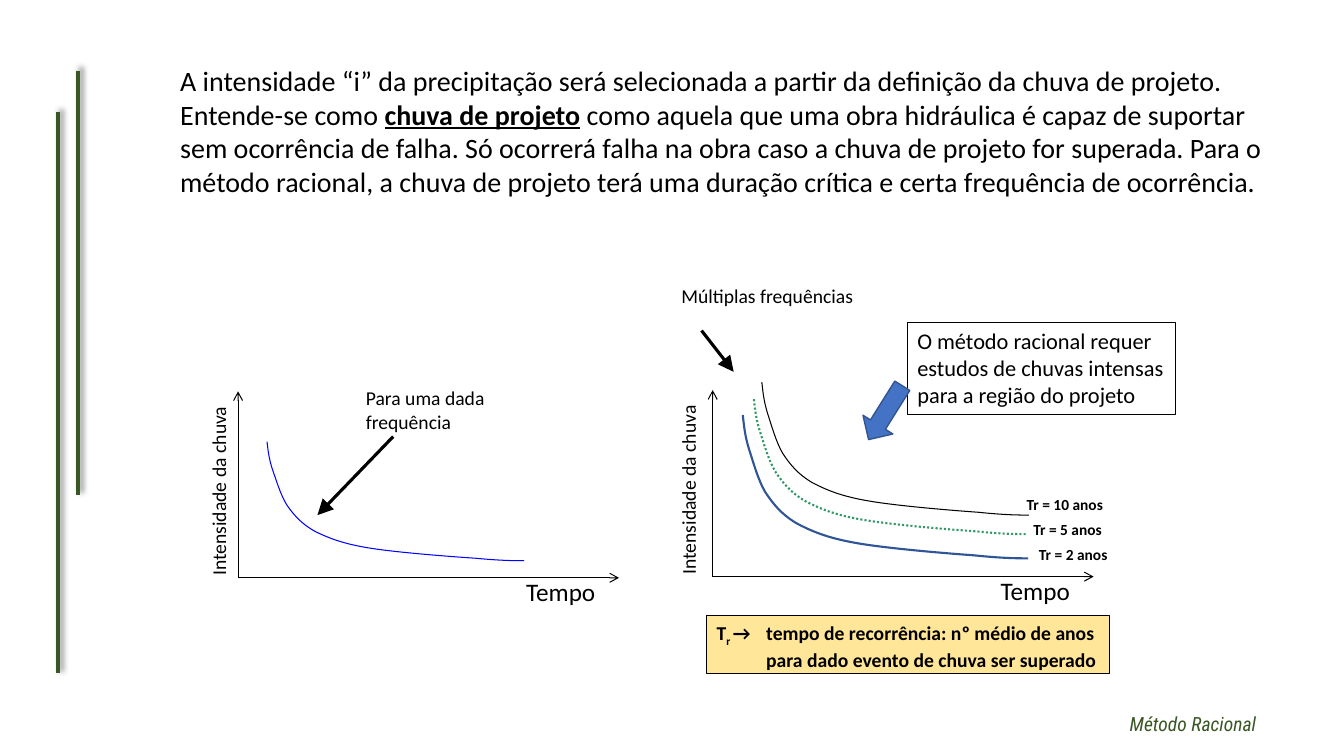
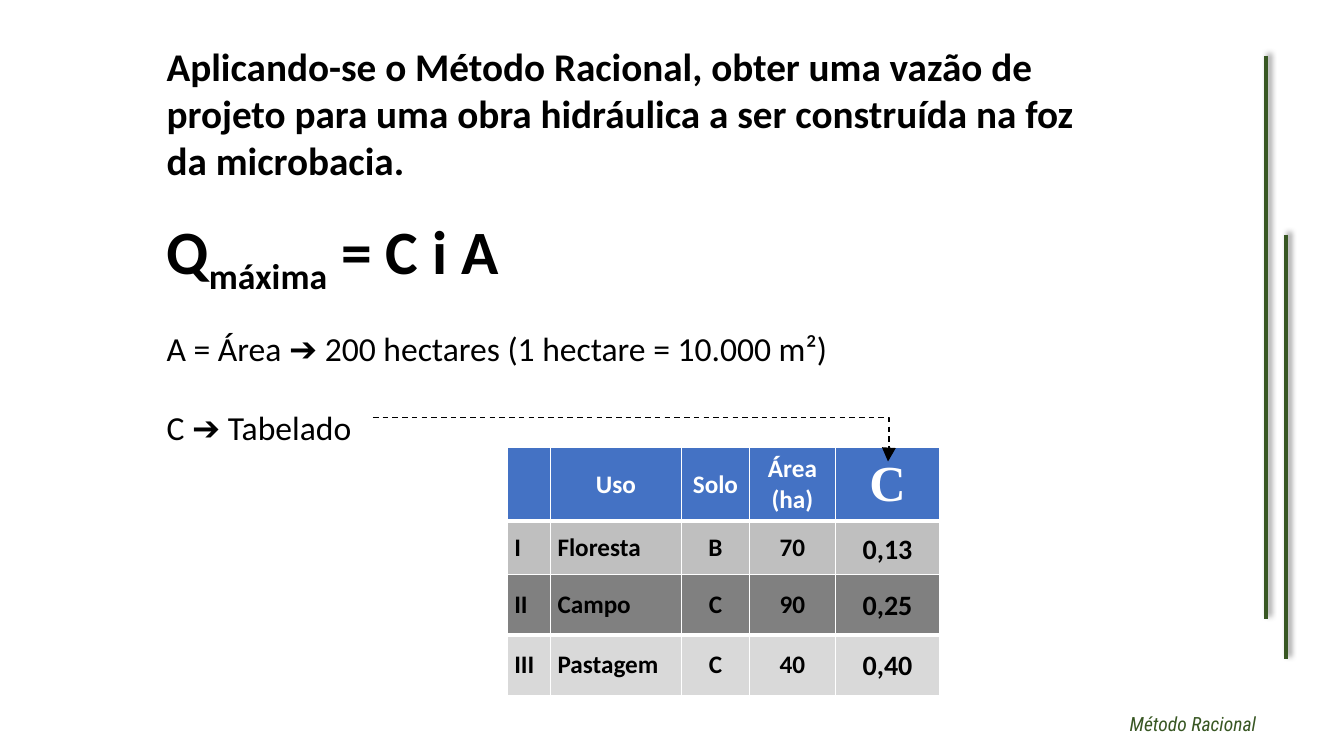
import lxml.etree
import pptx
import pptx.dml.color
import pptx.enum.dml
import pptx.enum.shapes
import pptx.enum.text
import pptx.oxml.ns
import pptx.util

Cm, Pt = pptx.util.Cm, pptx.util.Pt
rgb = pptx.dml.color.RGBColor.from_string
qn = pptx.oxml.ns.qn
add_element = lxml.etree.SubElement
align = pptx.enum.text.PP_ALIGN
dash_style = pptx.enum.dml.MSO_LINE
shape_type = pptx.enum.shapes.MSO_SHAPE


class Theme:
    font, footer_font, symbol_font = "Calibri", "Roboto Condensed", "Times New Roman"
    black, white, green = rgb("000000"), rgb("FFFFFF"), rgb("385723")
    blue, arrow_edge, note = rgb("4472C4"), rgb("325491"), rgb("FFE699")
    curve_single, curve_2, curve_5 = rgb("0000FF"), rgb("2F5597"), rgb("339966")
    rows = [blue, rgb("BFBFBF"), rgb("808080"), rgb("D9D9D9")]
    tiny, small, callout, medium, body = 11, 14, 16, 18, 20
    large, title, symbol, formula = 24, 28, 36, 44
    thin, outline, curve, arrow, bar = 0.75, 1, 1.5, 2.25, 3
    open_tip = {"type": "arrow"}
    solid_tip = {"type": "triangle", "w": "lg", "len": "lg"}


def write(paragraph, text, size, bold=False, color=Theme.black, font=Theme.font,
          italic=False, marked="subscript", alignment=align.LEFT):
    """Fill a paragraph; the pieces between bars are subscript or key words."""
    first, *others = text.split("|")
    paragraph.text = first
    for piece in others:
        paragraph.add_run().text = piece
    paragraph.alignment = alignment
    for index, run in enumerate(paragraph.runs):
        run.font.name, run.font.size = font, Pt(size)
        run.font.bold, run.font.italic = bold, italic
        run.font.color.rgb = color
        if index % 2 and marked == "subscript":
            run._r.get_or_add_rPr().set("baseline", "-25000")
        elif index % 2:
            run.font.bold = run.font.underline = True


def add_line(slide, points, color, width, tip=None, shadow=False):
    """Draw a straight connector, optionally with an arrowhead or a soft shadow."""
    connector = slide.shapes.add_connector(
        pptx.enum.shapes.MSO_CONNECTOR.STRAIGHT, *[Cm(value) for value in points])
    connector.line.color.rgb = color
    connector.line.width = Pt(width)
    if tip:
        add_element(connector.line._get_or_add_ln(), qn("a:tailEnd"), tip)
    effects = add_element(connector._element.spPr, qn("a:effectLst"))
    if shadow:
        outer = add_element(effects, qn("a:outerShdw"), blurRad=str(Pt(4)), dist=str(Pt(3)),
                            dir="18900000", algn="bl", rotWithShape="0")
        tint = add_element(outer, qn("a:srgbClr"), val=str(Theme.black))
        add_element(tint, qn("a:alpha"), val="40000")


presentation = pptx.Presentation()
presentation.slide_width, presentation.slide_height = Cm(33.87), Cm(19.05)

# Both slides: pair of side bars and footer
side_bars = [
    [(1.46, 16.97, 1.46, 2.82), (1.96, 12.47, 1.96, 1.78)],
    [(31.9, 1.42, 31.9, 15.6), (32.41, 5.92, 32.41, 16.61)],
]
for bars in side_bars:
    slide = presentation.slides.add_slide(presentation.slide_layouts[6])
    for bar in bars:
        add_line(slide, bar, Theme.green, Theme.bar, shadow=True)
    footer = slide.shapes.add_textbox(Cm(28.22), Cm(17.81), Cm(4.22), Cm(0.86))
    footer.text_frame.word_wrap = True
    write(footer.text_frame.paragraphs[0], "Método Racional", Theme.small,
          color=Theme.green, font=Theme.footer_font, italic=True)
rain_slide, exercise_slide = presentation.slides

# Slide 1: introduction
introduction = rain_slide.shapes.add_textbox(Cm(4.29), Cm(1.48), Cm(27.94), Cm(3.68))
introduction.text_frame.word_wrap = True
write(introduction.text_frame.paragraphs[0],
      "A intensidade “i” da precipitação será selecionada a partir da definição da chuva de "
      "projeto. Entende-se como |chuva de projeto| como aquela que uma obra hidráulica é capaz "
      "de suportar sem ocorrência de falha. Só ocorrerá falha na obra caso a chuva de projeto "
      "for superada. Para o método racional, a chuva de projeto terá uma duração crítica e "
      "certa frequência de ocorrência.", Theme.body, marked="key")

# Slide 1: axes of the two graphs
labels = []
for origin_x, origin_y, label_left in [(6, 14.56, 3.1), (17.96, 14.53, 14.94)]:
    for end_x, end_y in [(origin_x, origin_y - 4.7), (origin_x + 9.6, origin_y)]:
        add_line(rain_slide, (origin_x, origin_y, end_x, end_y),
                 Theme.black, Theme.thin, tip=Theme.open_tip)
    labels += [
        ("Intensidade da chuva", label_left, origin_y - 3.1, 5.28, 1.32, Theme.small, False, 270),
        ("Tempo", origin_x + 7.01, origin_y - 0.15, 2.46, 1.07, Theme.medium, False, 0),
    ]

# Slide 1: every curve is one Bézier profile, in percent of its frame
profile = [
    (0, 0), (0.4, 7), (0.7, 14), (2.1, 23.2), (3.5, 31.7), (5.3, 45), (7.8, 53.5),
    (10.6, 62), (13.4, 69), (18.7, 75.4), (24, 81), (29.7, 85.9), (40, 89.4),
    (50.2, 93), (71, 96.5), (81, 97.9), (91.2, 100), (96.5, 100), (100, 100),
]
curves = [
    (6.73, 11.13, 6.48, 3, Theme.curve_single, Theme.thin, None),
    (19, 10.06, 6.88, 3.4, Theme.curve_5, Theme.curve, dash_style.ROUND_DOT),
    (19.2, 9.63, 6.73, 3.35, Theme.black, Theme.thin, None),
    (18.72, 10.46, 7.19, 3.61, Theme.curve_2, Theme.curve, None),
]
for left, top, width, height, color, weight, dash in curves:
    builder = rain_slide.shapes.build_freeform(Cm(left), Cm(top))
    builder.add_line_segments(
        [(Cm(left + x / 100 * width), Cm(top + y / 100 * height)) for x, y in profile[1:]],
        close=False)
    curve = builder.convert_to_shape()
    # Join each three straight segments into one Bézier segment
    segments = list(curve._element.iter(qn("a:lnTo")))
    outline = segments[0].getparent()
    for start in range(0, len(segments), 3):
        bezier = add_element(outline, qn("a:cubicBezTo"))
        for segment in segments[start:start + 3]:
            bezier.append(segment[0])
            outline.remove(segment)
    curve.shadow.inherit = False
    curve.fill.background()
    curve.line.color.rgb, curve.line.width = color, Pt(weight)
    if dash:
        curve.line.dash_style = dash

# Slide 1: labels
labels += [
    ("Tr = 10 anos", 25.62, 12.34, 2.79, 0.64, Theme.tiny, True, 0),
    ("Tr = 5 anos", 25.79, 12.98, 2.79, 0.64, Theme.tiny, True, 0),
    ("Tr = 2 anos", 25.93, 13.61, 2.79, 0.64, Theme.tiny, True, 0),
    ("Para uma dada frequência", 8.97, 9.6, 4.85, 1.45, Theme.small, False, 0),
    ("Múltiplas frequências", 16.92, 7.03, 4.85, 1.45, Theme.small, False, 0),
]
for text, left, top, width, height, size, bold, rotation in labels:
    label = rain_slide.shapes.add_textbox(Cm(left), Cm(top), Cm(width), Cm(height))
    label.rotation = rotation
    label.text_frame.word_wrap = True
    write(label.text_frame.paragraphs[0], text, size, bold)

for points in [(9.91, 11, 8, 12.98), (17.68, 8.33, 18.49, 9.37)]:
    add_line(rain_slide, points, Theme.black, Theme.arrow, tip=Theme.solid_tip)

# Slide 1: framed notes
notes = [
    ("O método racional requer estudos de chuvas intensas para a região do projeto",
     (22.87, 8.13, 6.76, 2.31), Theme.callout, False, None, 0),
    ("T|r |→ \ttempo de recorrência: nº médio de anos para dado evento de chuva ser superado",
     (17.81, 15.52, 10.16, 1.45), Theme.small, True, Theme.note, 1.25),
]
for text, frame, size, bold, fill, indent in notes:
    note = rain_slide.shapes.add_shape(shape_type.RECTANGLE, *[Cm(value) for value in frame])
    note.shadow.inherit = False
    note.line.color.rgb, note.line.width = Theme.black, Pt(Theme.thin)
    if fill:
        note.fill.solid()
        note.fill.fore_color.rgb = fill
    else:
        note.fill.background()
    note.text_frame.word_wrap = True
    note.text_frame.vertical_anchor = pptx.enum.text.MSO_ANCHOR.TOP
    paragraph = note.text_frame.paragraphs[0]
    write(paragraph, text, size, bold)
    if indent:
        properties = paragraph._p.get_or_add_pPr()
        properties.set("marL", str(Cm(indent)))
        properties.set("indent", str(-Cm(indent)))

block_arrow = rain_slide.shapes.add_shape(
    shape_type.DOWN_ARROW, Cm(21.87), Cm(9.6), Cm(0.89), Cm(1.6))
block_arrow.rotation = 32.1
block_arrow.shadow.inherit = False
block_arrow.fill.solid()
block_arrow.fill.fore_color.rgb = Theme.blue
block_arrow.line.color.rgb = Theme.arrow_edge
block_arrow.line.width = Pt(Theme.outline)

# Slide 2: statement, formula and data
statement = exercise_slide.shapes.add_textbox(Cm(3.95), Cm(0.94), Cm(23.42), Cm(10.34))
statement.text_frame.word_wrap = True
statement_lines = [
    ("Aplicando-se o Método Racional, obter uma vazão de projeto para uma obra hidráulica "
     "a ser construída na foz da microbacia.", Theme.title, True, 0),
    ("Q|máxima| = C i A", Theme.formula, True, 21),
    ("A = Área ➔ 200 hectares (1 hectare = 10.000 m²)", Theme.large, False, 22),
    ("C ➔ Tabelado", Theme.large, False, 28),
]
for index, (text, size, bold, gap) in enumerate(statement_lines):
    text_frame = statement.text_frame
    paragraph = text_frame.add_paragraph() if index else text_frame.paragraphs[0]
    write(paragraph, text, size, bold)
    paragraph.space_before = Pt(gap)

# Slide 2: table of land uses
table_rows = [
    ("", "Uso", "Solo", "Área\n(ha)", "C"),
    ("I", "Floresta", "B", "70", ""),
    ("II", "Campo", "C", "90", ""),
    ("III", "Pastagem", "C", "40", ""),
]
column_widths = [1.09, 3.3, 1.72, 2.16, 2.64]
row_heights = [1.85, 1.35, 1.52, 1.52]
table = exercise_slide.shapes.add_table(
    len(table_rows), len(column_widths), Cm(12.78), Cm(11.28),
    Cm(sum(column_widths)), Cm(sum(row_heights))).table
table.horz_banding = False
for column, width in zip(table.columns, column_widths):
    column.width = Cm(width)
last_row, last_column = len(table_rows) - 1, len(column_widths) - 1
for row_index, row in enumerate(table_rows):
    table.rows[row_index].height = Cm(row_heights[row_index])
    header = row_index == 0
    for column_index, text in enumerate(row):
        cell = table.cell(row_index, column_index)
        cell.margin_left = cell.margin_right = Cm(0.18)
        cell.margin_top = cell.margin_bottom = 0
        cell.vertical_anchor = pptx.enum.text.MSO_ANCHOR.MIDDLE
        cell.fill.solid()
        cell.fill.fore_color.rgb = Theme.rows[row_index]
        symbol = header and column_index == last_column
        cell.text_frame.text = text
        for paragraph in cell.text_frame.paragraphs:
            write(paragraph, paragraph.text, Theme.symbol if symbol else Theme.medium, True,
                  color=Theme.white if header else Theme.black,
                  font=Theme.symbol_font if symbol else Theme.font,
                  alignment=align.CENTER if header or column_index > 1 else align.LEFT)
        # White borders, thicker under the header and above the last row
        top = 3 if row_index in (1, last_row) else 1
        bottom = 3 if row_index in (0, last_row - 1) else 1
        properties = cell._tc.get_or_add_tcPr()
        borders = [("a:lnL", 1), ("a:lnR", 1), ("a:lnT", top), ("a:lnB", bottom)]
        for position, (tag, weight) in enumerate(borders):
            border = lxml.etree.Element(qn(tag), w=str(Pt(weight)))
            add_element(add_element(border, qn("a:solidFill")), qn("a:srgbClr"),
                        val=str(Theme.white))
            properties.insert(position, border)

# Slide 2: coefficients over the last column
for text, top in [("0,13", 13.26), ("0,25", 14.68), ("0,40", 16.18)]:
    coefficient = exercise_slide.shapes.add_textbox(Cm(21.49), Cm(top), Cm(1.78), Cm(1.12))
    coefficient.text_frame.word_wrap = False
    write(coefficient.text_frame.paragraphs[0], text, Theme.body, True)

# Slide 2: dashed pointer to the coefficient column
builder = exercise_slide.shapes.build_freeform(Cm(9.4), Cm(10.52))
builder.add_line_segments(
    [(Cm(22.4), Cm(10.52)), (Cm(22.4), Cm(11.63)), (Cm(22.38), Cm(11.63))], close=False)
pointer = builder.convert_to_shape()
pointer.shadow.inherit = False
pointer.fill.background()
pointer.line.color.rgb, pointer.line.width = Theme.black, Pt(Theme.outline)
pointer.line.dash_style = dash_style.DASH
add_element(pointer.line._get_or_add_ln(), qn("a:tailEnd"), Theme.solid_tip)

presentation.save("out.pptx")
